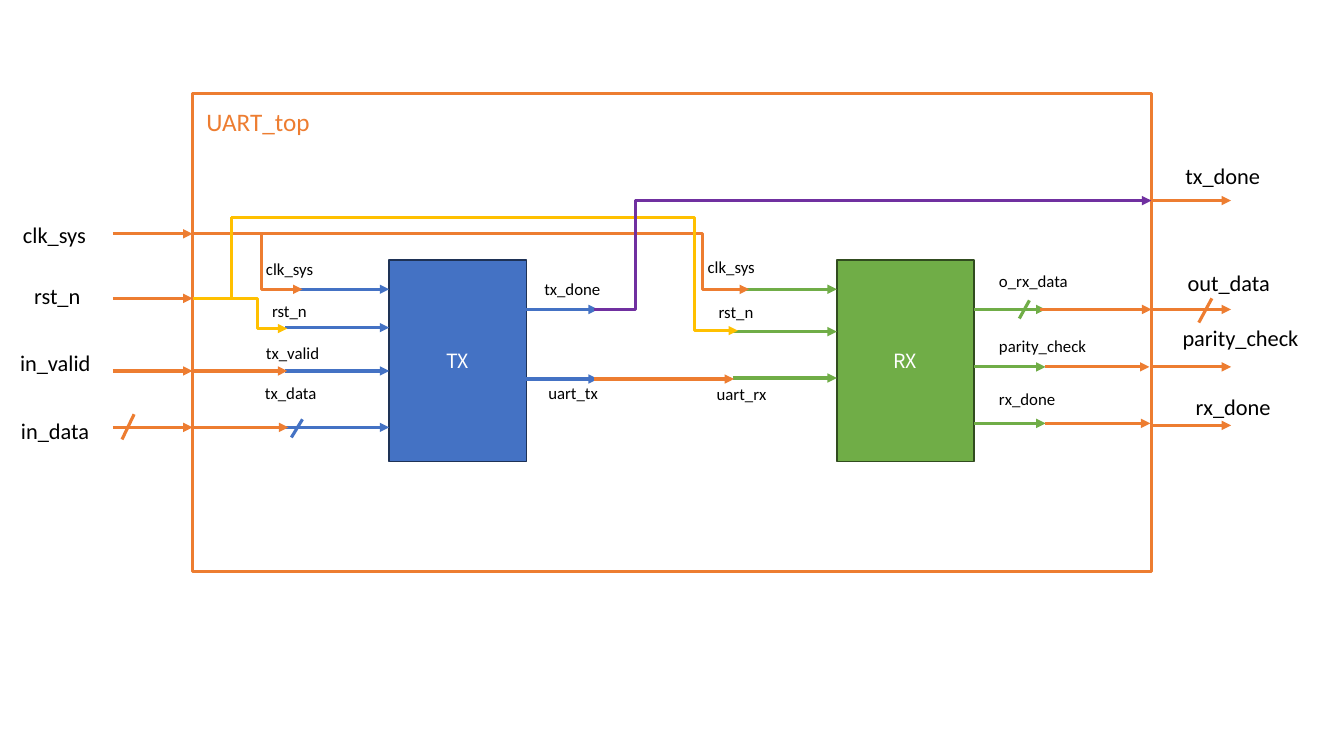
import pptx
import pptx.util
import pptx.dml.color
import pptx.enum.shapes
import pptx.enum.text
from lxml import etree
from pptx.oxml.ns import qn

RGB = pptx.dml.color.RGBColor
BLUE = RGB(0x44, 0x72, 0xC4)
BLUE_EDGE = RGB(0x1E, 0x32, 0x56)
GREEN = RGB(0x70, 0xAD, 0x47)
GREEN_EDGE = RGB(0x31, 0x4C, 0x1F)
ORANGE = RGB(0xED, 0x7D, 0x31)
YELLOW = RGB(0xFF, 0xC0, 0x00)
PURPLE = RGB(0x70, 0x30, 0xA0)
BLACK = RGB(0, 0, 0)
WHITE = RGB(0xFF, 0xFF, 0xFF)

LATIN_FONT = "Calibri"
BLOCK_FONT = "Noto Sans CJK SC"
WIRE_PT = 2.25

# Ports: name, wire y, then label x, y and width, from the corner given
TX_INPUTS = [
    ("clk_sys", 29, -132, -6, 86),
    ("rst_n", 67, -126, 35, 60),
    ("tx_valid", 110, -132, 77, 86),
    ("tx_data", 166, -133, 117, 86),
]
TX_OUTPUTS = [("tx_done", 49, 8, 14, 86), ("uart_tx", 118, 12, 117, 86)]
RX_INPUTS = [
    ("clk_sys", 29, -138, -8, 86),
    ("rst_n", 71, -127, 36, 60),
    ("uart_rx", 117, -129, 118, 86),
]
RX_OUTPUTS = [
    ("o_rx_data", 49, 15, 6, 103),
    ("parity_check", 106, 15, 70, 136),
    ("rx_done", 162, 15, 123, 103),
]
TOP_INPUTS = [
    ("clk_sys", 139, -178, 121, 94),
    ("rst_n", 203, -167, 182, 79),
    ("in_valid", 275, -181, 248, 112),
    ("in_data", 331, -180, 316, 112),
]
TOP_OUTPUTS = [
    ("tx_done", 106, 24, 63, 143),
    ("out_data", 214, 26, 169, 129),
    ("parity_check", 271, 21, 224, 159),
    ("rx_done", 329, 34, 292, 143),
]

# Colour, start x, y, end x, y, arrowhead; from the frame's corner
INNER_WIRES = [
    (ORANGE, 0, 139, 462, 139, False),
    (ORANGE, 460, 139, 552, 194, True),
    (ORANGE, 27, 139, 109, 194, True),
    (YELLOW, 38, 123, 457, 123, False),
    (YELLOW, 39, 122, 39, 204, False),
    (YELLOW, 0, 203, 40, 203, False),
    (YELLOW, 455, 123, 541, 235, True),
    (YELLOW, 35, 203, 94, 233, True),
    (ORANGE, 0, 275, 94, 275, True),
    (ORANGE, 0, 331, 95, 331, True),
    (ORANGE, 398, 283, 537, 283, True),
    (ORANGE, 841, 214, 951, 214, True),
    (ORANGE, 845, 271, 949, 271, True),
    (ORANGE, 845, 327, 950, 327, True),
]


def px(n):
    """Turn px (100 to the inch) into EMU."""
    return pptx.util.Emu(n * 9144)


def set_font(p, name, size, color):
    p.font.name = name
    p.font.size = pptx.util.Pt(size)
    p.font.color.rgb = color


def label(s, text, x, y, w, h, size, color=BLACK):
    tf = s.shapes.add_textbox(px(x), px(y), px(w), px(h)).text_frame
    tf.word_wrap = True
    tf.auto_size = pptx.enum.text.MSO_AUTO_SIZE.SHAPE_TO_FIT_TEXT
    p = tf.paragraphs[0]
    p.text = text
    set_font(p, LATIN_FONT, size, color)


def rect(s, x, y, w, h, edge, edge_pt, fill=None):
    sp = s.shapes.add_shape(pptx.enum.shapes.MSO_SHAPE.RECTANGLE, px(x), px(y), px(w), px(h))
    sp.shadow.inherit = False
    if fill is None:
        sp.fill.background()
    else:
        sp.fill.solid()
        sp.fill.fore_color.rgb = fill
    sp.line.color.rgb = edge
    sp.line.width = pptx.util.Pt(edge_pt)
    return sp


def wire(s, color, x1, y1, x2, y2, arrow=True, elbow=False, bend=None):
    """Draw a line or elbow; bend is the elbow's place in thousandths of its width."""
    kinds = pptx.enum.shapes.MSO_CONNECTOR
    kind = kinds.ELBOW if elbow else kinds.STRAIGHT
    c = s.shapes.add_connector(kind, px(x1), px(y1), px(x2), px(y2))
    c.line.color.rgb = color
    c.line.width = pptx.util.Pt(WIRE_PT)
    sp_pr = c._element.spPr
    if arrow:
        etree.SubElement(sp_pr.find(qn("a:ln")), qn("a:tailEnd"), type="triangle")
    if bend is not None:
        guides = sp_pr.find(qn("a:prstGeom")).find(qn("a:avLst"))
        etree.SubElement(guides, qn("a:gd"), name="adj1", fmla=f"val {bend * 100}")
    etree.SubElement(sp_pr, qn("a:effectLst"))


def ports(s, x, y, start, end, color, rows, size, label_h, slash=None):
    """Draw labelled arrows from x + start to x + end, and a bus slash."""
    for name, wire_y, label_x, label_y, label_w in rows:
        wire(s, color, x + start, y + wire_y, x + end, y + wire_y)
        label(s, name, x + label_x, y + label_y, label_w, label_h, size)
    if slash:
        x1, y1, x2, y2 = slash
        wire(s, color, x + x1, y + y1, x + x2, y + y2, arrow=False)


def core_block(s, x, y, w, h, name, fill, edge, inputs, outputs, in_slash=None, out_slash=None):
    sp = rect(s, x, y, w, h, edge, 1, fill)
    tf = sp.text_frame
    tf.vertical_anchor = pptx.enum.text.MSO_ANCHOR.MIDDLE
    p = tf.paragraphs[0]
    p.text = name
    p.alignment = pptx.enum.text.PP_ALIGN.CENTER
    set_font(p, BLOCK_FONT, 14, WHITE)
    ports(s, x, y, -103, 0, fill, inputs, 12, 30, in_slash)
    ports(s, x + w, y, 0, 71, fill, outputs, 12, 30, out_slash)


def top_module(s, x, y, w, h):
    """Draw the frame, its outer ports and the wires inside it."""
    rect(s, x, y, w, h, ORANGE, WIRE_PT)
    label(s, "UART_top", x + 4, y + 8, 140, 40, 18, ORANGE)
    ports(s, x, y, -79, 0, ORANGE, TOP_INPUTS, 16, 37, (-70, 343, -58, 318))
    for color, x1, y1, x2, y2, arrow in INNER_WIRES:
        elbow = x1 != x2 and y1 != y2
        wire(s, color, x + x1, y + y1, x + x2, y + y2, arrow, elbow)
    wire(s, PURPLE, x + 398, y + 214, x + w, y + 106, elbow=True, bend=74)
    ports(s, x + w, y, 0, 79, ORANGE, TOP_OUTPUTS, 16, 37, (47, 227, 60, 203))


def main():
    prs = pptx.Presentation()
    prs.slide_width, prs.slide_height = px(1333), px(750)
    s = prs.slides.add_slide(prs.slide_layouts[6])
    core_block(s, 386, 258, 136, 200, "TX", BLUE, BLUE_EDGE, TX_INPUTS, TX_OUTPUTS,
               in_slash=(-97, 176, -86, 158))
    core_block(s, 830, 258, 136, 200, "RX", GREEN, GREEN_EDGE, RX_INPUTS, RX_OUTPUTS,
               out_slash=(45, 58, 55, 40))
    top_module(s, 191, 93, 951, 474)
    prs.save("out.pptx")


if __name__ == "__main__":
    main()
